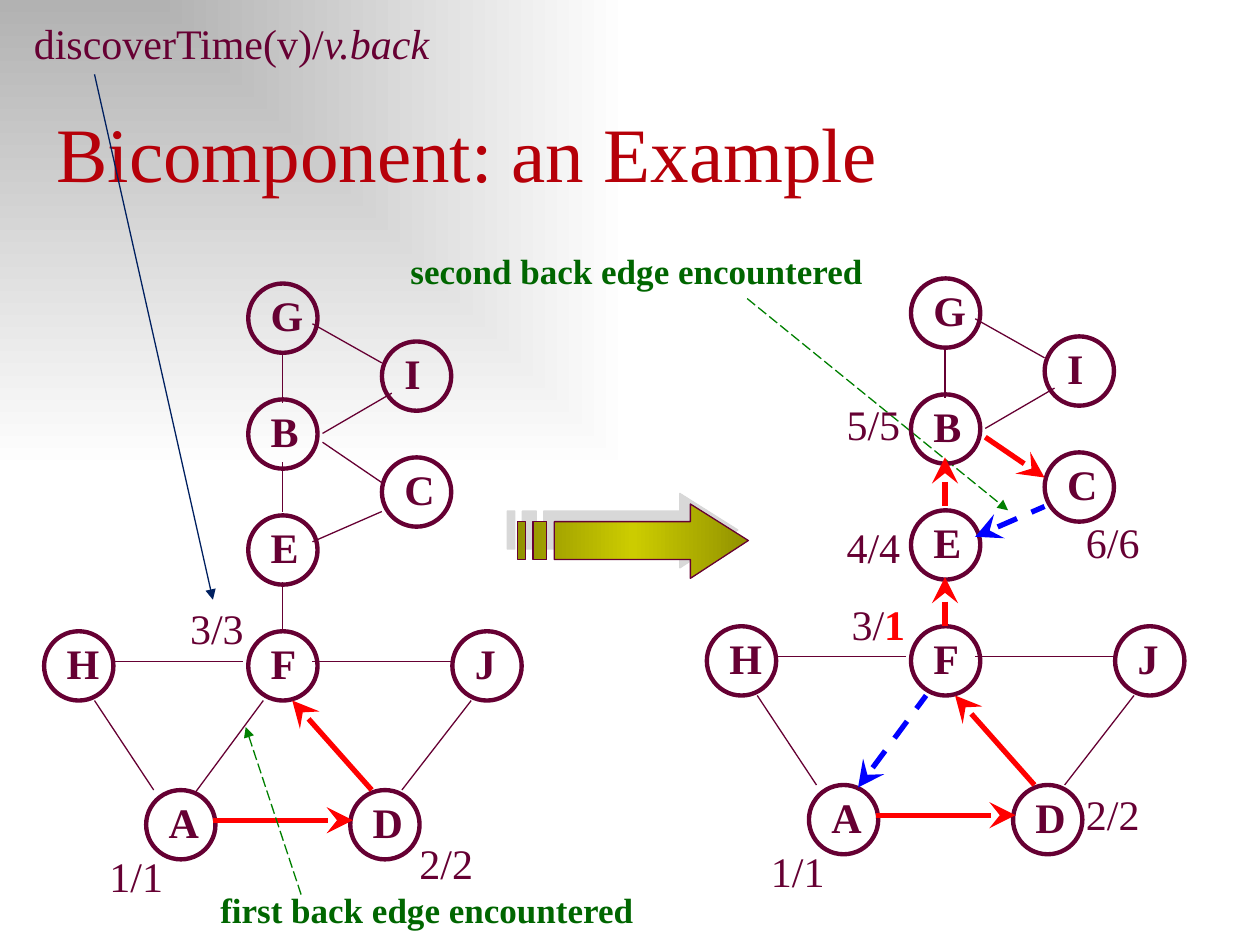
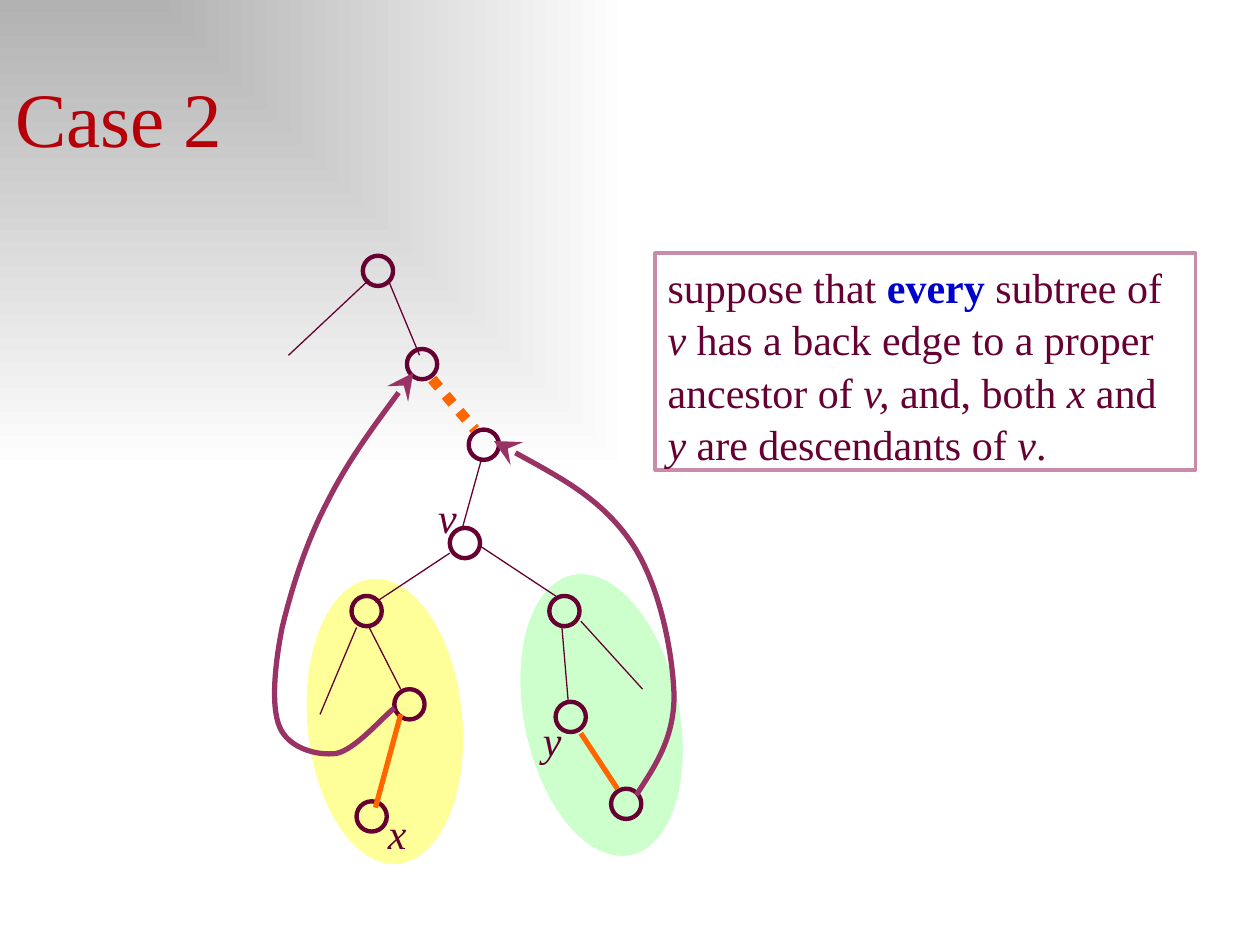
import pptx
import pptx.util
import pptx.dml.color
import pptx.enum.dml
import pptx.enum.shapes
import pptx.enum.text
import pptx.oxml.ns
import lxml.etree

INK = {"plum": "660033", "title": "B60009", "red": "FF0000", "blue": "0000FF",
       "green": "008000", "note": "006600", "navy": "002060", "grey": "B2B2B2",
       "white": "FFFFFF", "olive": "929200", "lime": "CCCC00", "mint": "CCFFCC",
       "cream": "FFFF99", "orange": "FF6600", "mauve": "993366",
       "pink": "C98BAA", "every": "0000CC"}
FONT = "Times New Roman"
DASH = pptx.enum.dml.MSO_LINE
FORM = pptx.enum.shapes.MSO_SHAPE
RING = 0.55   # graph node
DOT = 0.24    # tree node
COL, ROW = 0.81, 0.46

# Graph nodes as (column, row)
NODES = {"G": (2, 0), "I": (3.31, 1), "B": (2, 2), "C": (3.31, 3), "J": (4, 6),
         "H": (0, 6), "D": (3, 8.74), "A": (1, 8.74), "E": (2, 4), "F": (2, 6)}
# Graph edges in inches from the graph's corner
EDGES = {"GB": (1.89, 0.56, 1.89, 0.95), "BE": (1.89, 1.42, 1.89, 1.81),
         "GI": (2.13, 0.32, 2.68, 0.63), "BI": (2.21, 1.19, 2.76, 0.87),
         "BC": (2.21, 1.26, 2.68, 1.58), "EC": (2.13, 2.05, 2.68, 1.81),
         "EF": (1.89, 2.37, 1.89, 2.76), "HF": (0.55, 3, 1.58, 3),
         "FJ": (2.13, 3, 3.23, 3), "HA": (0.4, 3.31, 0.87, 4.02),
         "AD": (1.34, 4.26, 2.45, 4.26), "DJ": (2.84, 4.02, 3.39, 3.31),
         "AF": (1.2, 4.04, 1.74, 3.31), "FD": (1.97, 3.31, 2.6, 4.02)}
ONWARD = ("BC", "AD")  # arrows that point at the second node


def rgb(name):
    return pptx.dml.color.RGBColor.from_string(INK[name])


def emu(*nums):
    return [pptx.util.Inches(n) for n in nums]


def sub(node, tag, **attrs):
    return lxml.etree.SubElement(node, pptx.oxml.ns.qn("a:" + tag), attrs)


def blend(fill, stops):
    """Turn a fill element's place into a gradient with the given stops."""
    grad = lxml.etree.Element(pptx.oxml.ns.qn("a:gradFill"), rotWithShape="1")
    fill.getparent().replace(fill, grad)
    items = sub(grad, "gsLst")
    for pos, name in stops:
        sub(sub(items, "gs", pos=str(pos * 1000)), "srgbClr", val=INK[name])
    return grad


def write(frame, parts, size=24, ink="plum", bold=False):
    """Each part is text, or (text, bold, italic, colour)."""
    frame.word_wrap = True
    para = frame.paragraphs[0]
    para.alignment = pptx.enum.text.PP_ALIGN.LEFT
    for part in parts:
        text, heavy, lean, hue = (part, bold, False, ink) if isinstance(part, str) else part
        run = para.add_run()
        run.text = text
        font = run.font
        font.name, font.size = FONT, pptx.util.Pt(size)
        font.bold, font.italic = heavy, lean
        font.color.rgb = rgb(hue)


def label(shapes, x, y, w, h, *parts, **look):
    write(shapes.add_textbox(*emu(x, y, w, h)).text_frame, parts, **look)


def paint(shape, fill=None, line=None, width=2.5):
    shape.shadow.inherit = False
    if fill:
        shape.fill.solid()
        shape.fill.fore_color.rgb = rgb(fill)
    else:
        shape.fill.background()
    if line:
        shape.line.color.rgb = rgb(line)
        shape.line.width = pptx.util.Pt(width)
    else:
        shape.line.fill.background()
    return shape


def tip(shape, end, kind):
    size = "lg" if kind == "stealth" else "med"
    sub(shape.element.xpath(".//a:ln")[0], end, type=kind, w=size, len=size)


def link(slide, ends, ink="plum", width=0.75, dash=None, end=None, kind="stealth"):
    line = slide.shapes.add_connector(pptx.enum.shapes.MSO_CONNECTOR.STRAIGHT, *emu(*ends))
    line.line.color.rgb = rgb(ink)
    line.line.width = pptx.util.Pt(width)
    if dash:
        line.line.dash_style = dash
    if end:
        tip(line, end, kind)
    sub(line.element.spPr, "effectLst")


def shift(ends, x, y):
    return [n + (y if i % 2 else x) for i, n in enumerate(ends)]


def title(deck, text, x, y, w):
    slide = deck.slides.add_slide(deck.slide_layouts[5])
    head = slide.shapes.title
    head.left, head.top, head.width, head.height = emu(x, y, w, 0.83)
    write(head.text_frame, [text], 44, "title")
    head.text_frame.vertical_anchor = pptx.enum.text.MSO_ANCHOR.BOTTOM
    return slide


def graph(slide, x, y, marked, times):
    """Graph at (x, y); marked edges map to a colour, times are labels."""
    for name, (col, row) in NODES.items():
        left, top = x + col * COL, y + row * ROW
        group = slide.shapes.add_group_shape().shapes
        paint(group.add_shape(FORM.OVAL, *emu(left, top, RING, RING)), line="plum")
        label(group, left + 0.08, top, 0.47, 0.5, name, bold=True)
    for name, ends in EDGES.items():
        ends = shift(ends, x, y)
        ink = marked.get(name)
        if ink:
            link(slide, ends, ink, 3, DASH.DASH if ink == "blue" else None,
                 "tailEnd" if name in ONWARD else "headEnd")
        else:
            link(slide, ends)
    for left, top, *parts in times:
        label(slide.shapes, x + left, y + top, 1.48, 0.5, *parts)


def block(slide, x, y):
    """Striped arrow between the graphs."""
    def bar(left, right):
        return [(left, 0.14), (left, 0.44), (right, 0.44), (right, 0.14)]

    head = [(1.37, 0), (1.37, 0.14), (0.29, 0.14), (0.29, 0.44), (1.37, 0.44),
            (1.37, 0.59), (1.83, 0.29)]
    outline = None
    for part in (head, bar(0.12, 0.23), bar(0, 0.06)):
        first, *rest = [emu(x + a, y + b) for a, b in part]
        if outline:
            outline.move_to(*first)
        else:
            outline = slide.shapes.build_freeform(*first, scale=1.0)
        outline.add_line_segments(rest, close=True)
    arrow = paint(outline.convert_to_shape(), "olive", "plum", 0.75)
    props = arrow.element.spPr
    grad = blend(props.find(pptx.oxml.ns.qn("a:solidFill")),
                 [(0, "olive"), (50, "lime"), (100, "olive")])
    sub(grad, "lin", ang="0", scaled="1")
    cast = sub(props.find(pptx.oxml.ns.qn("a:effectLst")), "outerShdw",
               blurRad="0", dist=str(pptx.util.Pt(8.5)), dir="13500000", algn="ctr")
    sub(sub(cast, "srgbClr", val=INK["grey"]), "alpha", val="50000")


def curve(slide, x, y, points):
    """Bezier arrow: a start, then three points for each span."""
    first, *rest = [emu(x + a, y + b) for a, b in points]
    outline = slide.shapes.build_freeform(*first, scale=1.0)
    outline.add_line_segments(rest, close=False)
    shape = paint(outline.convert_to_shape(), line="mauve", width=3)
    steps = shape.element.xpath(".//a:lnTo")
    for i in range(0, len(steps), 3):
        span = lxml.etree.Element(pptx.oxml.ns.qn("a:cubicBezTo"))
        steps[i].addprevious(span)
        for step in steps[i:i + 3]:
            span.append(step[0])
            step.getparent().remove(step)
    tip(shape, "headEnd", "stealth")


def tree(slide, x, y):
    """Search tree with its two shaded subtrees."""
    for left, top, turn, ink in ((1.64, 3.06, 258.3, "mint"), (-0.08, 3.11, 264.8, "cream")):
        oval = slide.shapes.add_shape(FORM.OVAL, *emu(x + left, y + top, 2.27, 1.23))
        paint(oval, ink).rotation = turn
    for left, top in ((0.88, 0.03), (0.83, 4.36), (1.23, 0.77), (0.79, 2.73), (1.72, 1.41),
                      (1.57, 2.19), (2.36, 2.73), (1.13, 3.47), (2.41, 3.57), (2.85, 4.26)):
        dot = slide.shapes.add_shape(FORM.OVAL, *emu(x + left, y + top, DOT, DOT))
        paint(dot, line="plum")
    # Thin edges, then the marked ones
    for ends in ((0.93, 0.22, 0.29, 0.82), (1.08, 0.22, 1.33, 0.82),
                 (1.82, 1.65, 1.67, 2.19), (1.57, 2.39, 0.98, 2.78),
                 (1.82, 2.34, 2.41, 2.73), (0.93, 2.98, 1.18, 3.47),
                 (0.83, 2.98, 0.54, 3.67), (2.46, 2.98, 2.51, 3.57),
                 (2.61, 2.93, 3.1, 3.47)):
        link(slide, shift(ends, x, y))
    link(slide, shift((1.43, 1.01, 1.77, 1.41), x, y), "orange", 6, DASH.ROUND_DOT)
    for ends in ((1.18, 3.67, 0.98, 4.41), (2.61, 3.82, 2.9, 4.26)):
        link(slide, shift(ends, x, y), "orange", 3)
    for name, left, top in (("x", 0.98, 4.36), ("y", 2.21, 3.62), ("v", 1.38, 1.85)):
        label(slide.shapes, x + left, y + top, 0.34, 0.5, (name, False, True, "plum"))
    # Back edges
    curve(slide, x, y, [(1.92, 1.5), (2.34, 1.73), (2.76, 1.95), (3, 2.29), (3.24, 2.63),
                        (3.34, 3.19), (3.35, 3.52), (3.35, 3.86), (3.2, 4.08), (3.05, 4.31)])
    curve(slide, x, y, [(1.28, 0.96), (1.02, 1.31), (0.76, 1.66), (0.59, 2), (0.42, 2.33),
                        (0.31, 2.69), (0.24, 2.98), (0.18, 3.28), (0.15, 3.61), (0.22, 3.77),
                        (0.29, 3.94), (0.52, 4), (0.67, 3.98), (0.82, 3.95), (1.03, 3.7),
                        (1.13, 3.62)])


def panel(slide, x, y, w, h):
    box = slide.shapes.add_shape(FORM.RECTANGLE, *emu(x, y, w, h))
    paint(box, "white", "pink", 2)

    def lean(text):
        return text, False, True, "plum"

    write(box.text_frame, ["suppose that ", ("every", True, False, "every"), " subtree of ",
                           lean("v"), " has a back edge to a proper ancestor of ",
                           lean("v, "), "and, both ", lean("x "), "and ", lean("y "),
                           "are descendants of ", lean("v"), "."])
    box.text_frame.vertical_anchor = pptx.enum.text.MSO_ANCHOR.TOP
    box.text_frame.paragraphs[0].line_spacing = 1.04


def example(deck):
    slide = title(deck, "Bicomponent: an Example", 0.35, 0.79, 9.45)
    link(slide, (5.93, 2.37, 8, 4.05), "green", 0.75, DASH.LONG_DASH, "tailEnd", "triangle")
    graph(slide, 0.35, 2.25, {"AD": "red", "FD": "red"},
          [(0.42, 4.45, "1/1"), (2.88, 4.35, "2/2"), (1.06, 2.48, "3/3")])
    graph(slide, 5.61, 2.21,
          {"BE": "red", "BC": "red", "EF": "red", "AD": "red", "FD": "red",
           "EC": "blue", "AF": "blue"},
          [(0.41, 4.45, "1/1"), (1.05, 2.49, "3/", ("1", True, False, "red")),
           (1.01, 1.88, "4/4"), (2.91, 1.84, "6/6"), (1.01, 0.9, "5/5"), (2.91, 4, "2/2")])
    block(slide, 4.11, 4)
    # Notes and their pointers
    for x, y, text in ((1.65, 7, "first back edge encountered"),
                       (3.16, 1.93, "second back edge encountered")):
        label(slide.shapes, x, y, 4.33, 0.43, text, size=20, ink="note", bold=True)
    link(slide, (2.39, 7.1, 1.95, 5.77), "green", 0.75, DASH.LONG_DASH, "tailEnd", "triangle")
    label(slide.shapes, 0.17, 0.09, 3.5, 0.5, "discoverTime(v)/", ("v.back", False, True, "plum"))
    link(slide, (0.75, 0.59, 1.69, 4.76), "navy", 0.75, None, "tailEnd", "triangle")


def case(deck):
    slide = title(deck, "Case 2", 0.02, 0.51, 1.88)
    tree(slide, 2, 2)
    panel(slide, 5.2, 2.01, 4.29, 1.72)


def main():
    deck = pptx.Presentation()
    deck.slide_width, deck.slide_height = emu(10, 7.5)
    # Shared background: grey corner fading to white
    master = deck.slide_master
    master.background.fill.solid()
    grad = blend(master.element.xpath(".//p:bgPr/a:solidFill")[0], [(0, "grey"), (100, "white")])
    sub(sub(grad, "path", path="rect"), "fillToRect", r="100000", b="100000")
    example(deck)
    case(deck)
    deck.save("out.pptx")


if __name__ == "__main__":
    main()
